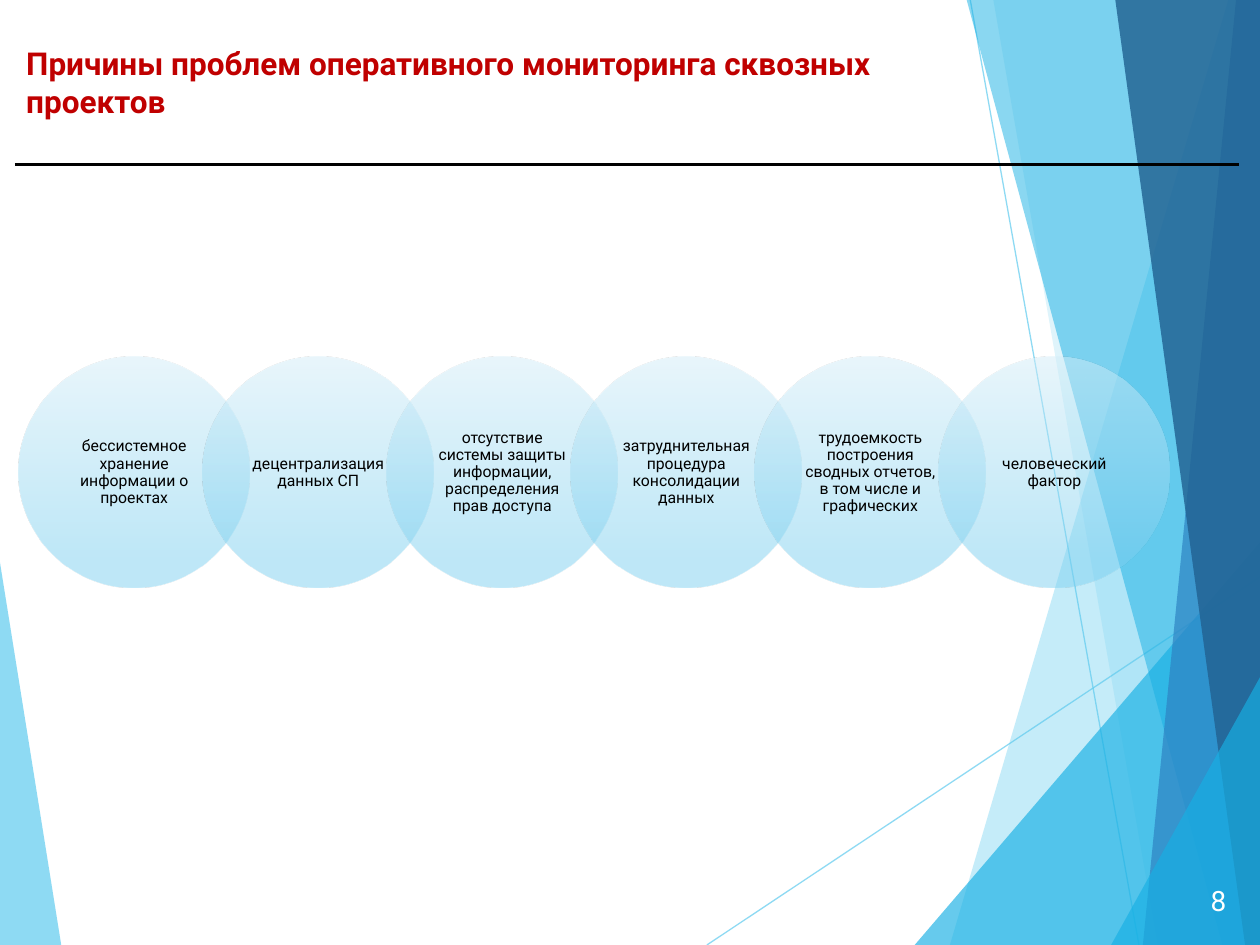
from dataclasses import dataclass

from lxml import etree
from pptx import Presentation
from pptx.dml.color import RGBColor
from pptx.enum.shapes import MSO_CONNECTOR, MSO_SHAPE
from pptx.enum.text import MSO_ANCHOR, MSO_AUTO_SIZE, PP_ALIGN
from pptx.oxml.ns import qn
from pptx.util import Cm, Pt

OVAL = MSO_SHAPE.OVAL
LINE = MSO_CONNECTOR.STRAIGHT
TOP, MIDDLE = MSO_ANCHOR.TOP, MSO_ANCHOR.MIDDLE
LEFT, CENTER, RIGHT = PP_ALIGN.LEFT, PP_ALIGN.CENTER, PP_ALIGN.RIGHT
GROW = MSO_AUTO_SIZE.SHAPE_TO_FIT_TEXT


@dataclass(frozen=True)
class Theme:
    font: str = "Roboto"
    black: str = "000000"
    white: str = "FFFFFF"
    red: str = "C00000"
    sky: str = "5FCBEF"
    cyan: str = "17B0E4"
    blue: str = "2E83C3"
    navy: str = "226292"
    pale: str = "D4EEF9"
    aqua: str = "7DD1F1"
    head: int = 18
    body: int = 9
    page: int = 16


THEME = Theme()
WIDE, HIGH = 25.4, 19.05
EDGE, ROOF = 25.43, -0.03  # facets run slightly past the slide

CAUSES = [
    "бессистемное хранение информации о проектах",
    "децентрализация данных СП",
    "отсутствие системы защиты информации, распределения прав доступа",
    "затруднительная процедура консолидации данных",
    "трудоемкость построения сводных отчетов, в том числе и графических",
    "человеческий фактор",
]


def rgb(code):
    return RGBColor.from_string(code)


def fade(shape, part):
    """Make every colour of the shape part opaque (in percent)."""
    for node in shape.element.spPr.iter(qn("a:srgbClr")):
        etree.SubElement(node, qn("a:alpha")).set("val", str(part * 1000))


def add_facet(slide, points, color, part):
    first, *rest = [(Cm(x), Cm(y)) for x, y in points]
    pen = slide.shapes.build_freeform(*first)
    pen.add_line_segments(rest, close=True)
    facet = pen.convert_to_shape()
    facet.shadow.inherit = False
    facet.fill.solid()
    facet.fill.fore_color.rgb = rgb(color)
    facet.line.fill.background()
    fade(facet, part)


def add_line(slide, ends, color, width, part=100):
    line = slide.shapes.add_connector(LINE, *[Cm(n) for n in ends])
    line.line.color.rgb = rgb(color)
    line.line.width = Pt(width)
    if part < 100:
        fade(line, part)
    etree.SubElement(line.element.spPr, qn("a:effectLst"))


def write(shape, text, size, color, align, anchor, bold=False):
    frame = shape.text_frame
    frame.word_wrap = True
    frame.vertical_anchor = anchor
    para = frame.paragraphs[0]
    para.alignment = align
    run = para.add_run()
    run.text = text
    run.font.name = THEME.font
    run.font.size = Pt(size)
    run.font.bold = bold
    run.font.color.rgb = rgb(color)
    return frame


def add_text(slide, box, *style, **more):
    shape = slide.shapes.add_textbox(*[Cm(n) for n in box])
    return write(shape, *style, **more)


def add_ring(slide, left, top, size, text):
    ring = slide.shapes.add_shape(OVAL, Cm(left), Cm(top), Cm(size), Cm(size))
    ring.shadow.inherit = False
    ring.line.fill.background()
    ring.fill.gradient()
    ring.fill.gradient_angle = 270
    stops = zip(ring.fill.gradient_stops, (THEME.pale, THEME.aqua), (0, 0.88))
    for stop, color, place in stops:
        stop.color.rgb = rgb(color)
        stop.position = place
    fade(ring, 50)
    frame = write(ring, text, THEME.body, THEME.black, CENTER, MIDDLE)
    frame.margin_left = frame.margin_right = Cm(0.25)
    frame.margin_top = frame.margin_bottom = Cm(0.03)
    frame.paragraphs[0].line_spacing = 0.9


def band(top, foot):
    """Outline from a slanted edge to the right side of the slide."""
    return [(top, ROOF), (foot, HIGH), (EDGE, HIGH), (EDGE, ROOF)]


def wedge(foot, rise):
    """Triangle in the lower right corner."""
    return [(foot, HIGH), (EDGE, rise), (EDGE, HIGH)]


def add_decor(slide):
    corner = [(ROOF, 11.15), (1.24, 19.08), (ROOF, HIGH)]
    add_facet(slide, corner, THEME.sky, 70)
    for ends in ((14.25, HIGH, EDGE, 11.61), (19.56, 0, 22.96, HIGH)):
        add_line(slide, ends, THEME.sky, 0.75, 70)
    facets = [
        (band(24.77, 19.15), THEME.sky, 36),
        (band(20.02, 23.34), THEME.sky, 20),
        (wedge(18.44, 10.9), THEME.cyan, 66),
        (band(19.48, 24.64), THEME.cyan, 50),
        (band(24.92, 23.04), THEME.blue, 70),
        (band(22.48, 25.1), THEME.navy, 82),
        (wedge(22.4, 13.6), THEME.cyan, 66),
    ]
    for facet in facets:
        add_facet(slide, *facet)


def main():
    deck = Presentation()
    deck.slide_width, deck.slide_height = Cm(WIDE), Cm(HIGH)
    slide = deck.slides.add_slide(deck.slide_layouts[6])

    # Background facets
    add_decor(slide)

    # Title and rule
    add_line(slide, (0.3, 3.32, 24.97, 3.32), THEME.black, 1.5)
    title = add_text(slide, (0.28, 0.76, 19.28, 2.82),
                     "Причины проблем оперативного мониторинга сквозных проектов",
                     THEME.head, THEME.red, LEFT, TOP, bold=True)
    title.auto_size = GROW

    # Chain of overlapping causes
    size, step = 4.65, 3.71
    for i, cause in enumerate(CAUSES):
        add_ring(slide, 0.38 + i * step, 7.2, size, cause)

    # Page number
    add_text(slide, (23.55, 17.63, 1.42, 1.02), "8",
             THEME.page, THEME.white, RIGHT, MIDDLE)

    deck.save("out.pptx")


if __name__ == "__main__":
    main()
